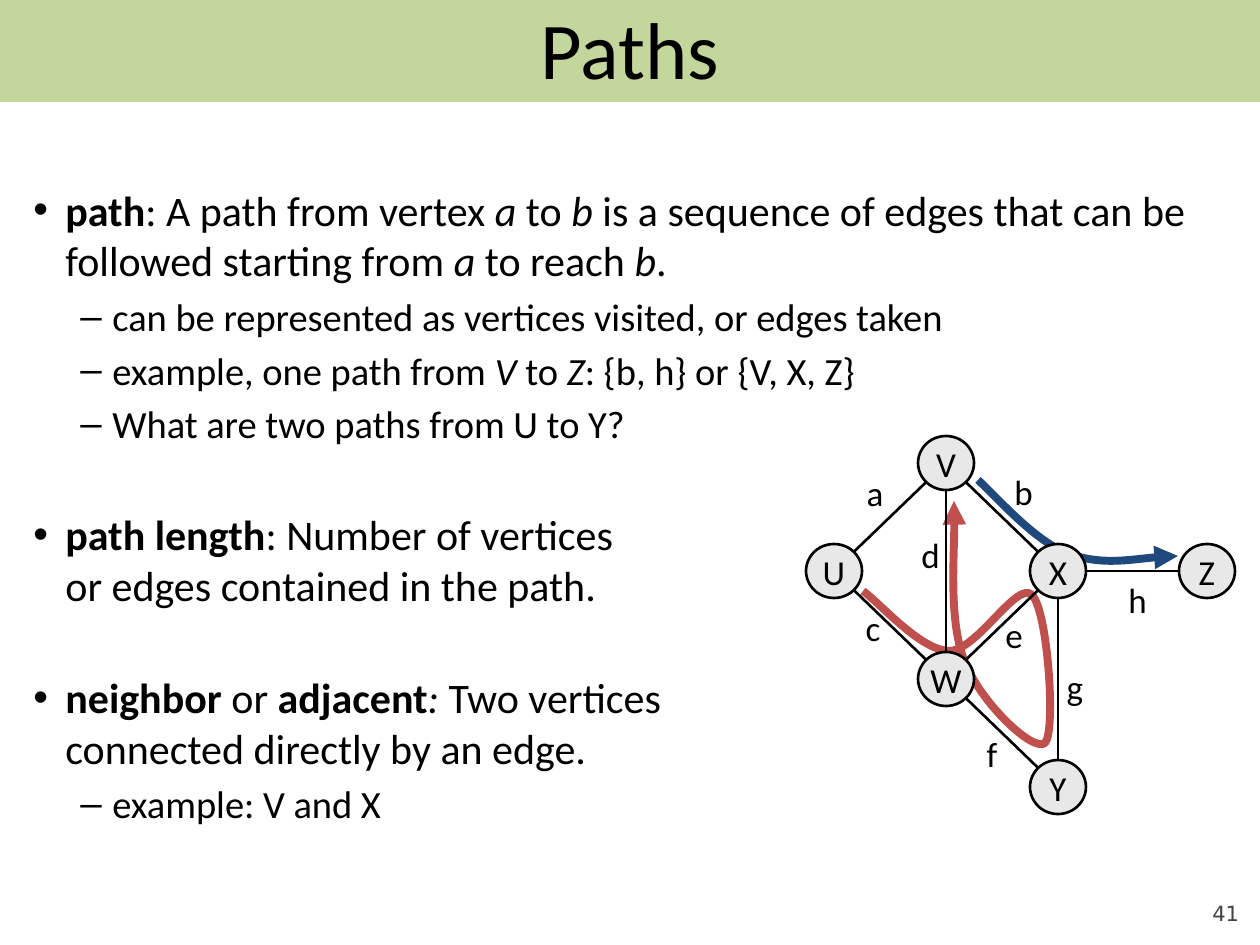
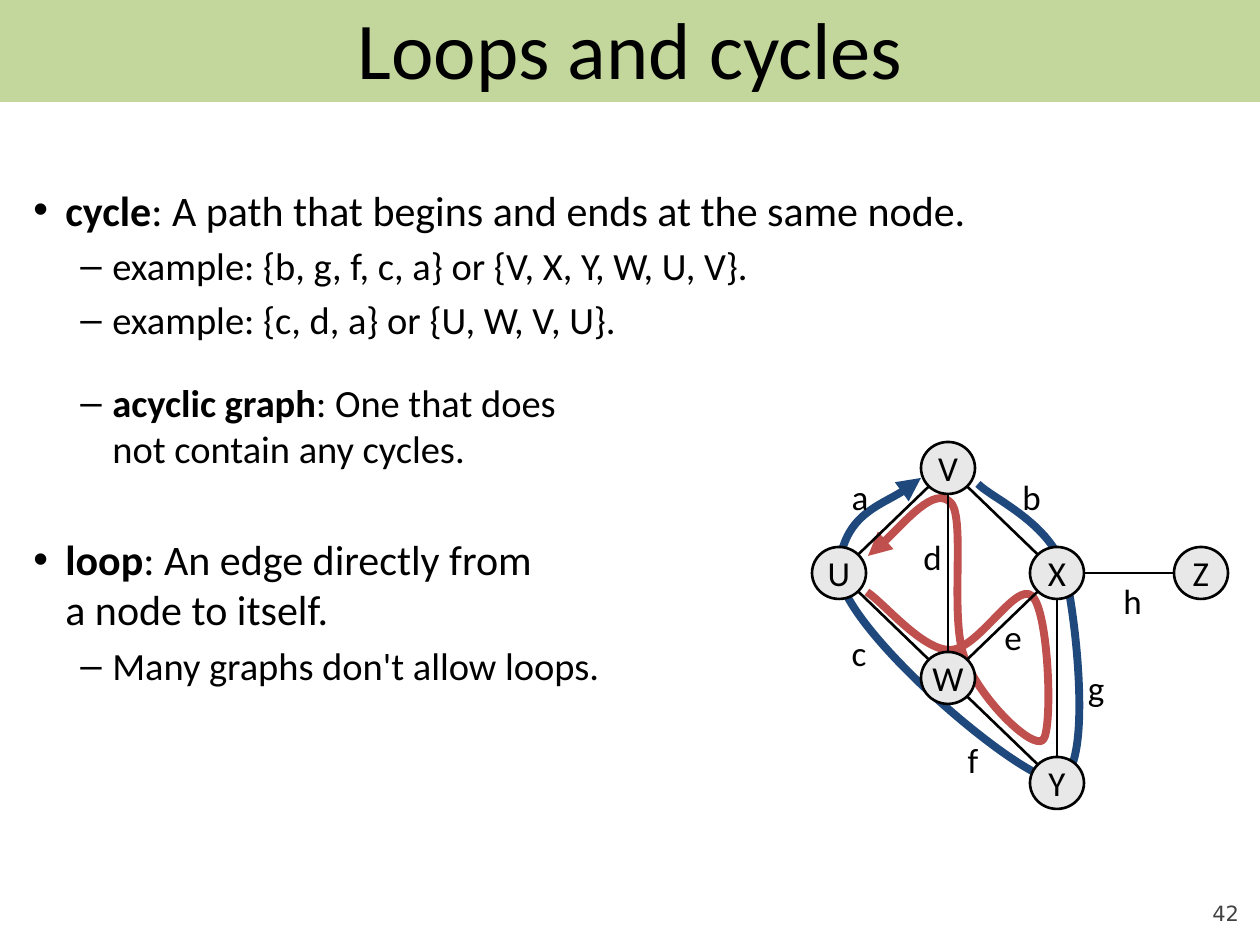
from math import hypot
from lxml.etree import SubElement
from pptx import Presentation
from pptx.dml.color import RGBColor
from pptx.enum.shapes import MSO_CONNECTOR as LINE, MSO_SHAPE as SHAPE
from pptx.enum.text import MSO_ANCHOR as ANCHOR, PP_ALIGN as ALIGN
from pptx.oxml.ns import qn
from pptx.util import Pt

rgb = RGBColor.from_string
BLACK, GREY, BAND, NODE = "000000", "424242", "C3D69B", "E8E8E8"
RED, BLUE = "C0504D", "1F497D"
FONT, NUMBER_FONT = "Calibri", "DejaVu Sans"
EDGES = ["VU", "WU", "WX", "XZ", "VX", "VW", "WY", "XY"]


def px(n):
    return round(n * 914400 / 126)


def put_text(s, text, size, align=ALIGN.CENTER, anchor=ANCHOR.MIDDLE, font=FONT, color=BLACK):
    tf = s.text_frame
    tf.text = text
    tf.word_wrap = False
    tf.vertical_anchor = anchor
    p = tf.paragraphs[0]
    p.alignment = align
    f = p.runs[0].font
    f.name, f.size, f.color.rgb = font, Pt(size), rgb(color)
    return tf


slides = [
    {
        "number": "41",
        "title": "Paths",
        "body": [
            (0, 0, "*path*: A path from vertex _a_ to _b_ is a sequence of edges that can be "
                   "followed starting from _a_ to reach _b_."),
            (1, 4.4, "can be represented as vertices visited, or edges taken"),
            (1, 4.4, "example, one path from _V_ to _Z_: {b, h} or {V, X, Z}"),
            (1, 4.4, "What are two paths from U to Y?"),
            (0, 35.5, "*path length*: Number of vertices\nor edges contained in the path."),
            (0, 35.5, "*neighbor *or *adjacent*_: _Two vertices\nconnected directly by an edge."),
            (1, 4.4, "example: V and X"),
        ],
        "curves": [
            (RED, [(863, 591), (881, 604), (920, 650), (949, 651), (977, 651), (1017, 580),
                   (1032, 595), (1048, 611), (1056, 732), (1045, 743), (1033, 753), (979, 701),
                   (964, 660), (949, 620), (956, 528), (954, 501)]),
            (BLUE, [(978, 480), (993, 493), (1034, 541), (1067, 553), (1101, 566), (1155, 556),
                    (1178, 556)]),
        ],
        "center": (946, 571), "step": (112, 108), "z_offset": 261, "node": (56, 54),
        "labels": {"a": (875, 465), "c": (873, 600), "b": (1023, 464), "e": (1014, 607),
                   "d": (930, 527), "f": (992, 726), "g": (1075, 659), "h": (1137, 572)},
    },
    {
        "number": "42",
        "title": "Loops and cycles",
        "body": [
            (0, 0, "*cycle*: A path that begins and ends at the same node."),
            (1, 4.4, "example: {b, g, f, c, a} or {V, X, Y, W, U, V}."),
            (1, 4.4, "example: {c, d, a} or {U, W, V, U}."),
            (1, 21, "*acyclic graph*: One that does\nnot contain any cycles."),
            (0, 35.5, "*loop*: An edge directly from\na node to itself."),
            (1, 4.4, "Many graphs don't allow loops."),
        ],
        "curves": [
            (BLUE, [(978, 484), (993, 499), (1051, 523), (1065, 572), (1077, 621), (1094, 781),
                    (1056, 780), (1019, 780), (834, 622), (839, 568), (844, 515), (903, 496),
                    (921, 478)]),
            (RED, [(867, 592), (885, 604), (922, 650), (950, 650), (978, 650), (1016, 581),
                   (1032, 596), (1049, 611), (1053, 730), (1043, 740), (1032, 750), (980, 699),
                   (965, 659), (949, 620), (966, 519), (951, 503), (935, 485), (882, 547),
                   (868, 556)]),
        ],
        "center": (948, 573), "step": (109, 105), "z_offset": 253, "node": (54, 52),
        "labels": {"a": (860, 469), "c": (859, 625), "b": (1031, 469), "e": (1013, 609),
                   "d": (932, 529), "f": (973, 732), "g": (1096, 660), "h": (1132, 573)},
    },
]

prs = Presentation()
prs.slide_width, prs.slide_height = px(1260), px(945)

for data in slides:
    sp = prs.slides.add_slide(prs.slide_layouts[6]).shapes

    s = sp.add_textbox(px(1134), px(876), px(105), px(50))
    tf = put_text(s, data["number"], 12, ALIGN.RIGHT, ANCHOR.BOTTOM, NUMBER_FONT, GREY)
    tf.margin_left = tf.margin_right = tf.margin_top = tf.margin_bottom = 0

    s = sp.add_shape(SHAPE.ROUNDED_RECTANGLE, 0, 0, px(1260), px(102))
    s.adjustments[0] = 0.001
    s.shadow.inherit = False
    s.fill.solid()
    s.fill.fore_color.rgb = rgb(BAND)
    s.line.fill.background()

    s = sp.add_textbox(px(63), 0, px(1134), px(94))
    put_text(s, data["title"], 46)

    s = sp.add_textbox(px(21), px(178), px(1218), px(714))
    tf = s.text_frame
    tf.word_wrap = True
    for i, (level, before, text) in enumerate(data["body"]):
        p = tf.paragraphs[0] if i == 0 else tf.add_paragraph()
        p.level = level
        pPr = p._p.get_or_add_pPr()
        pPr.set("marL", str(px((32, 79)[level])))
        pPr.set("indent", str(px(-32)))
        SubElement(pPr, qn("a:buFont")).set("typeface", "Arial")
        SubElement(pPr, qn("a:buChar")).set("char", "•–"[level])
        p.space_before = Pt(before)
        for b, bold_part in enumerate(text.split("*")):
            for k, part in enumerate(bold_part.split("_")):
                for n, line in enumerate(part.split("\n")):
                    if n:
                        p.add_line_break()
                    if line:
                        r = p.add_run()
                        r.text = line
                        f = r.font
                        f.name, f.size, f.color.rgb = FONT, Pt((24, 22)[level]), rgb(BLACK)
                        f.bold, f.italic = b % 2 == 1, k % 2 == 1

    for color, points in data["curves"]:
        start, *rest = [(px(x), px(y)) for x, y in points]
        builder = sp.build_freeform(*start)
        builder.add_line_segments(rest, close=False)
        s = builder.convert_to_shape()
        outline = next(s._element.iter(qn("a:path")))
        segments = outline.findall(qn("a:lnTo"))
        for i in range(0, len(segments), 3):
            curve = SubElement(outline, qn("a:cubicBezTo"))
            for segment in segments[i:i + 3]:
                curve.append(segment[0])
                outline.remove(segment)
        s.shadow.inherit = False
        s.fill.background()
        s.line.color.rgb = rgb(color)
        s.line.width = Pt(4.5)
        SubElement(s._element.spPr.find(qn("a:ln")), qn("a:tailEnd")).set("type", "triangle")

    (cx, cy), (dx, dy), (w, h) = data["center"], data["step"], data["node"]
    nodes = {"X": (cx + dx, cy), "U": (cx - dx, cy), "V": (cx, cy - dy), "W": (cx, cy + dy),
             "Z": (cx + data["z_offset"], cy), "Y": (cx + dx, cy + 2 * dy)}
    for name, (x, y) in nodes.items():
        s = sp.add_shape(SHAPE.OVAL, px(x - w / 2), px(y - h / 2), px(w), px(h))
        s.shadow.inherit = False
        s.fill.solid()
        s.fill.fore_color.rgb = rgb(NODE)
        s.line.color.rgb = rgb(BLACK)
        s.line.width = Pt(1.5)
        put_text(s, name, 20)

    for start, end in EDGES:
        (x1, y1), (x2, y2) = nodes[start], nodes[end]
        ux = (x2 > x1) - (x2 < x1)
        uy = (y2 > y1) - (y2 < y1)
        rx = w / 2 * ux / hypot(ux, uy)
        ry = h / 2 * uy / hypot(ux, uy)
        s = sp.add_connector(LINE.STRAIGHT, px(x1 + rx), px(y1 + ry), px(x2 - rx), px(y2 - ry))
        s.line.color.rgb = rgb(BLACK)
        s.line.width = Pt(1.5)
        SubElement(s._element.spPr, qn("a:effectLst"))

    for name, (x, y) in data["labels"].items():
        s = sp.add_textbox(px(x - 21), px(y), px(42), px(54))
        put_text(s, name, 20, anchor=ANCHOR.TOP)

prs.save("out.pptx")
